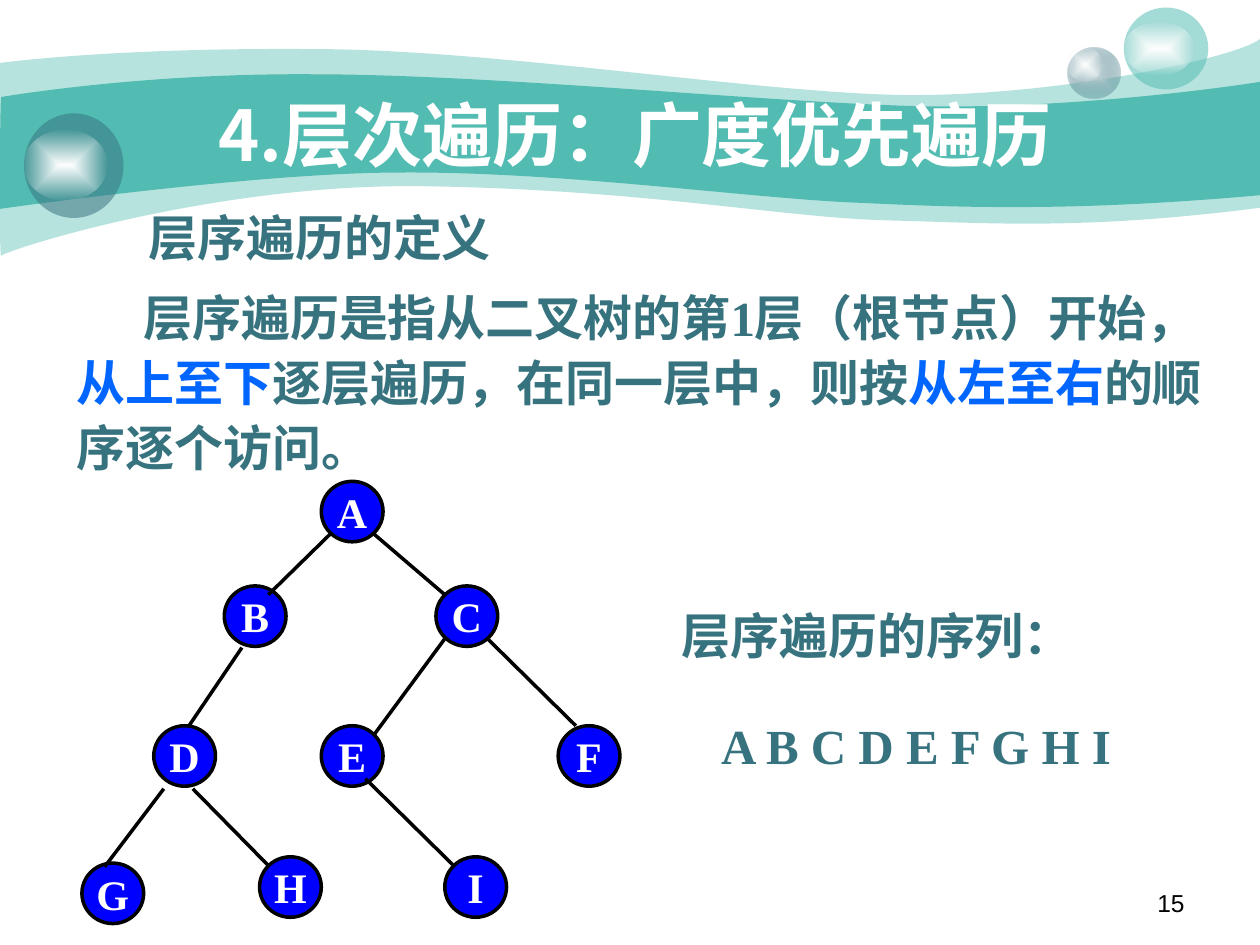
from dataclasses import dataclass
from typing import Optional

from lxml import etree
from pptx import Presentation
from pptx.dml.color import RGBColor
from pptx.enum.shapes import MSO_CONNECTOR, MSO_SHAPE
from pptx.enum.text import MSO_ANCHOR, PP_ALIGN
from pptx.oxml import parse_xml
from pptx.oxml.ns import nsdecls, qn
from pptx.util import Inches, Pt

COLORS = {
    "white": "FFFFFF", "black": "000000", "teal": "52BCB2", "slate": "37737F",
    "mist": "CCDBDE", "node": "0000FF", "accent": "0066FF",
}
SERIF, SANS, CJK = "Times New Roman", "Arial", "Noto Sans CJK SC"
NODE_W, NODE_H = 0.49, 0.48


@dataclass
class Wave:
    start: tuple
    top: list
    right_bottom: tuple
    bottom: list
    alpha: Optional[int] = None


@dataclass
class Orb:
    box: tuple
    gloss: tuple
    color: str
    alpha: int
    center: Optional[str] = None


@dataclass
class Label:
    box: tuple
    runs: list
    size: int = 28
    font: str = SERIF
    bold: bool = True
    align: PP_ALIGN = PP_ALIGN.LEFT
    anchor: MSO_ANCHOR = MSO_ANCHOR.TOP
    indent: float = 0
    spacing: Optional[float] = None


def rgb(name: str) -> RGBColor:
    return RGBColor.from_string(COLORS[name])


def fill_solid(shape, color: str, alpha: Optional[int] = None) -> None:
    shape.shadow.inherit = False
    shape.fill.solid()
    shape.fill.fore_color.rgb = rgb(color)
    if alpha is not None:
        tint = shape._element.spPr.find(qn("a:solidFill"))[0]
        etree.SubElement(tint, qn("a:alpha")).set("val", str(alpha * 1000))


def fill_glow(shape, center: str, edge: str, edge_alpha: int) -> None:
    """Fill from the centre colour outwards to a see-through edge."""
    fill_solid(shape, center)
    glow = parse_xml(
        f'<a:gradFill {nsdecls("a")} rotWithShape="1"><a:gsLst>'
        f'<a:gs pos="0"><a:srgbClr val="{COLORS[center]}"/></a:gs>'
        f'<a:gs pos="100000"><a:srgbClr val="{COLORS[edge]}">'
        f'<a:alpha val="{edge_alpha * 1000}"/></a:srgbClr></a:gs></a:gsLst>'
        '<a:path path="rect"><a:fillToRect l="50000" t="50000" r="50000" b="50000"/>'
        '</a:path></a:gradFill>')
    props = shape._element.spPr
    props.replace(props.find(qn("a:solidFill")), glow)


def bend(lines: list) -> None:
    """Turn each three line segments into one cubic curve."""
    for first, second, third in zip(lines[::3], lines[1::3], lines[2::3]):
        curve = etree.Element(qn("a:cubicBezTo"))
        first.addprevious(curve)
        for line in (first, second, third):
            curve.append(line[0])
            line.getparent().remove(line)


def draw_wave(slide, wave: Wave) -> None:
    top = [point for curve in wave.top for point in curve]
    bottom = [point for curve in wave.bottom for point in curve]
    outline = top + [wave.right_bottom] + bottom
    builder = slide.shapes.build_freeform(*map(Inches, wave.start))
    builder.add_line_segments([(Inches(x), Inches(y)) for x, y in outline], close=True)
    band = builder.convert_to_shape()
    lines = list(band._element.spPr.iter(qn("a:lnTo")))
    bend(lines[:len(top)])
    bend(lines[len(top) + 1:len(outline)])
    fill_solid(band, "teal", wave.alpha)
    band.line.fill.background()


def add_ellipse(slide, box: tuple):
    return slide.shapes.add_shape(MSO_SHAPE.OVAL, *map(Inches, box))


def draw_orb(slide, orb: Orb) -> None:
    ball, gloss = add_ellipse(slide, orb.box), add_ellipse(slide, orb.gloss)
    if orb.center:
        fill_glow(ball, orb.center, orb.color, orb.alpha)
    else:
        fill_solid(ball, orb.color, orb.alpha)
    fill_glow(gloss, "white", "white", 0)
    for part in (ball, gloss):
        part.line.fill.background()


def add_run(paragraph, text: str, color: str, size: int, font: str, bold: bool) -> None:
    run = paragraph.add_run()
    run.text = text
    run.font.size, run.font.name, run.font.bold = Pt(size), font, bold
    run.font.color.rgb = rgb(color)
    etree.SubElement(run._r.get_or_add_rPr(), qn("a:ea")).set("typeface", CJK)


def draw_label(slide, label: Label) -> None:
    frame = slide.shapes.add_textbox(*map(Inches, label.box)).text_frame
    frame.word_wrap = True
    frame.vertical_anchor = label.anchor
    paragraph = frame.paragraphs[0]
    paragraph.alignment = label.align
    if label.spacing:
        paragraph.line_spacing = label.spacing
    # Keep punctuation inside the right margin
    props = paragraph._p.get_or_add_pPr()
    props.set("hangingPunct", "0")
    if label.indent:
        props.set("indent", str(Inches(label.indent)))
    for text, color in label.runs:
        add_run(paragraph, text, color, label.size, label.font, label.bold)


def draw_node(slide, letter: str, left: float, top: float) -> None:
    node = add_ellipse(slide, (left, top, NODE_W, NODE_H))
    fill_solid(node, "node")
    node.line.color.rgb, node.line.width = rgb("black"), Pt(2)
    frame = node.text_frame
    frame.word_wrap = False
    frame.vertical_anchor = MSO_ANCHOR.MIDDLE
    frame.paragraphs[0].alignment = PP_ALIGN.CENTER
    add_run(frame.paragraphs[0], letter, "white", 24, SERIF, True)


def draw_edge(slide, ends: tuple) -> None:
    edge = slide.shapes.add_connector(MSO_CONNECTOR.STRAIGHT, *map(Inches, ends))
    edge.line.color.rgb, edge.line.width = rgb("black"), Pt(2)
    etree.SubElement(edge._element.spPr, qn("a:effectLst"))


WAVES = [
    Wave((0, 0.5),
         [((0.24, 0.47), (1.07, 0.38), (2.47, 0.39)), ((3.86, 0.39), (5.75, 0.7), (6.99, 0.75)),
          ((8.22, 0.8), (9.8, 0.47), (10, 0.31))], (10, 1.65),
         [((8.58, 1.83), (7.87, 1.77), (7.05, 1.75)), ((6.22, 1.73), (5.15, 1.51), (3.43, 1.48)),
          ((1.72, 1.44), (0.04, 1.99), (0.01, 2.03)), ((-0.01, 2.08), (0, 0.75), (0, 0.5))], 41),
    Wave((0.01, 0.77),
         [((0.02, 0.77), (1.1, 0.58), (2.48, 0.59)), ((3.86, 0.59), (5.95, 0.8), (7.18, 0.84)),
          ((8.41, 0.88), (9.76, 0.69), (10, 0.65))], (10, 1.55),
         [((8.53, 1.68), (7.65, 1.65), (6.82, 1.61)), ((5.99, 1.58), (4.47, 1.36), (3.17, 1.37)),
          ((2.03, 1.37), (-0.02, 1.66), (-0.01, 1.66)), ((0, 1.66), (0, 0.77), (0.01, 0.77))]),
]
ORBS = [
    Orb((8.47, 0.38, 0.42, 0.4), (8.47, 0.38, 0.28, 0.27), "slate", 31, "mist"),
    Orb((8.92, 0.06, 0.67, 0.65), (8.92, 0.17, 0.56, 0.43), "teal", 53),
    Orb((0.19, 0.9, 0.79, 0.83), (0.19, 1.03, 0.66, 0.56), "slate", 53),
]
LABELS = [
    Label((7.17, 7, 2.33, 0.35), [("15", "black")], 14, SANS, False, PP_ALIGN.RIGHT),
    Label((1, 0.75, 8.08, 0.62), [("4.层次遍历：广度优先遍历", "white")], 40, CJK,
          align=PP_ALIGN.CENTER, anchor=MSO_ANCHOR.MIDDLE),
    Label((1.08, 1.6, 3, 0.57), [("层序遍历的定义", "slate")]),
    Label((0.51, 2.19, 9.14, 1.64),
          [("层序遍历是指从二叉树的第1层（根节点）开始，", "slate"), ("从上至下", "accent"),
           ("逐层遍历，在同一层中，则按", "slate"), ("从左至右", "accent"),
           ("的顺序逐个访问。", "slate")], indent=0.53, spacing=1.1),
    Label((5.31, 4.76, 4.17, 0.57), [("层序遍历的序列：", "slate")]),
    Label((5.24, 5.63, 4.06, 0.57), [("A B C D E F G H I", "slate")], align=PP_ALIGN.CENTER),
]
NODES = {
    "A": (2.55, 3.82), "B": (1.78, 4.65), "C": (3.46, 4.65),
    "D": (1.22, 5.76), "E": (2.55, 5.76), "F": (4.43, 5.76),
    "G": (0.65, 6.85), "H": (2.06, 6.8), "I": (3.53, 6.8),
}
EDGES = [
    (2.62, 4.24, 2.13, 4.72), (2.97, 4.24, 3.53, 4.72), (1.92, 5.14, 1.5, 5.76),
    (3.87, 5.07, 4.57, 5.76), (3.53, 5.07, 2.97, 5.83), (2.9, 6.18, 3.6, 6.87),
    (1.53, 6.26, 2.13, 6.87), (1.3, 6.26, 0.83, 6.88),
]


def main() -> None:
    deck = Presentation()
    deck.slide_width, deck.slide_height = Inches(10), Inches(7.5)
    slide = deck.slides.add_slide(deck.slide_layouts[6])
    # Banner waves and glossy orbs
    for wave in WAVES:
        draw_wave(slide, wave)
    for orb in ORBS:
        draw_orb(slide, orb)
    # Title, definition, sequence and page number
    for label in LABELS:
        draw_label(slide, label)
    # Binary tree
    for letter, (left, top) in NODES.items():
        draw_node(slide, letter, left, top)
    for ends in EDGES:
        draw_edge(slide, ends)
    deck.save("out.pptx")


if __name__ == "__main__":
    main()
